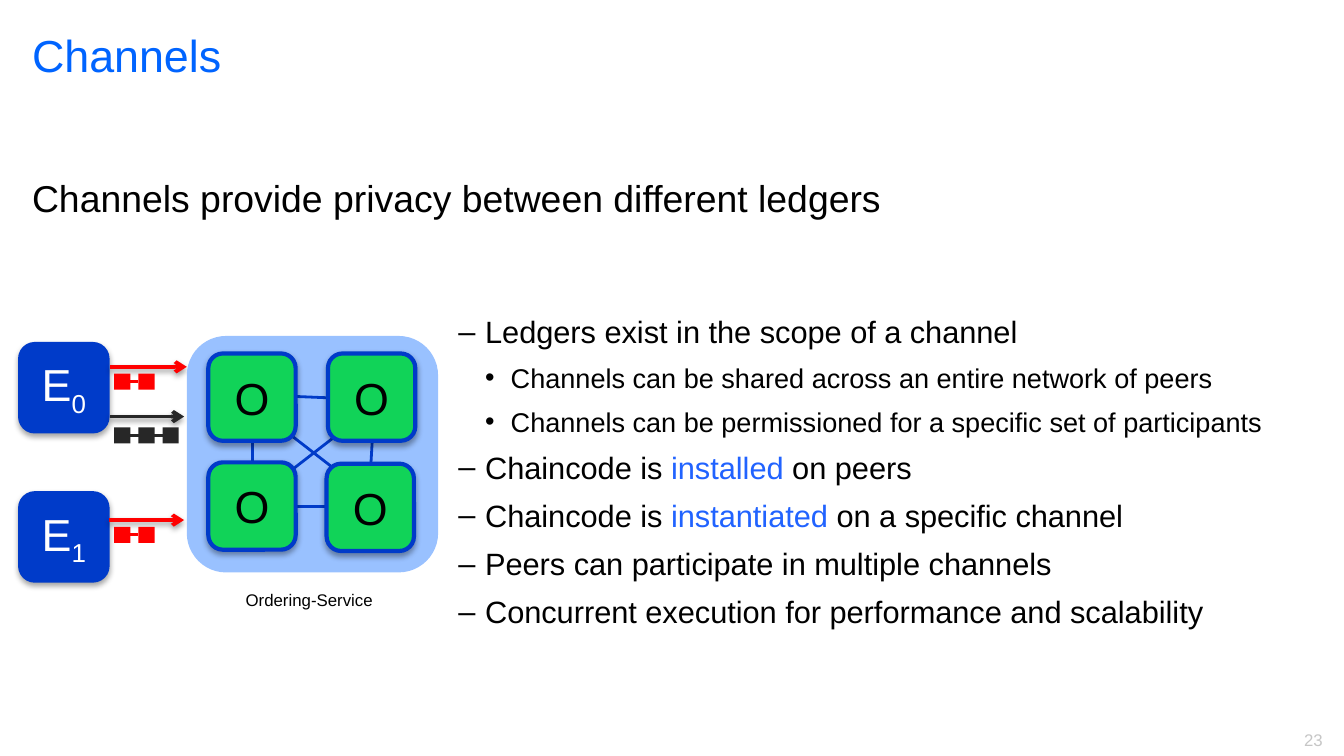
from dataclasses import dataclass

from pptx import Presentation
from pptx.dml.color import RGBColor
from pptx.enum.shapes import MSO_CONNECTOR, MSO_SHAPE
from pptx.enum.text import MSO_ANCHOR, PP_ALIGN
from pptx.oxml.ns import qn
from pptx.util import Emu, Pt
from lxml.etree import SubElement

PX = 9144
FONT = "Arial"
TITLE_BLUE = RGBColor(0x00, 0x64, 0xFF)
TERM_BLUE = RGBColor(0x21, 0x63, 0xFF)
NODE_BLUE = RGBColor(0x00, 0x3B, 0xC9)
PANEL_BLUE = RGBColor(0x99, 0xC1, 0xFF)
GREEN = RGBColor(0x11, 0xD3, 0x58)
RED = RGBColor(0xFF, 0x00, 0x00)
DARK = RGBColor(0x27, 0x27, 0x27)
GREY = RGBColor(0xC6, 0xC6, 0xC6)
BLACK = RGBColor(0x00, 0x00, 0x00)
WHITE = RGBColor(0xFF, 0xFF, 0xFF)
NODE_SIZE = 65
BLOCK_SIZE = 12
BLOCK_STEP = 18


@dataclass
class Label:
    text: str
    left: int
    top: int
    width: int
    height: int
    size: float
    color: RGBColor
    inset_top: int = 5
    align: PP_ALIGN = PP_ALIGN.LEFT


@dataclass
class Bullet:
    spans: list[str]
    level: int = 1


@dataclass
class BulletStyle:
    mark: str
    margin: int
    hanging: int
    size: float


@dataclass
class Node:
    text: str
    left: int
    top: int
    fill: RGBColor
    color: RGBColor
    subscript: str = ""


@dataclass
class Link:
    start: tuple[int, int]
    end: tuple[int, int]


@dataclass
class Chain:
    top: int
    blocks: int
    color: RGBColor
    arrow: Link


LABELS = [
    Label("23", 936, 538, 58, 25, 9, GREY, align=PP_ALIGN.RIGHT),
    Label("Channels", 14, 16, 850, 111, 24, TITLE_BLUE),
    Label("Channels provide privacy between different ledgers",
          14, 111, 973, 102, 20, BLACK, 19),
    Label("Ordering-Service", 173, 434, 117, 25, 9, BLACK),
]
BULLETS = [
    Bullet(["Ledgers exist in the scope of a channel"]),
    Bullet(["Channels can be shared across an entire network of peers"], 2),
    Bullet(["Channels can be permissioned for a specific set of participants"], 2),
    Bullet(["Chaincode is ", "installed", " on peers"]),
    Bullet(["Chaincode is ", "instantiated", " on a specific channel"]),
    Bullet(["Peers can participate in multiple channels"]),
    Bullet(["Concurrent execution for performance and scalability"]),
]
BULLET_STYLES = {1: BulletStyle("–", 46, 20, 16.5), 2: BulletStyle("•", 65, 19, 14.5)}
ENDORSERS = [Node("E", 15, top, NODE_BLUE, WHITE, number)
             for top, number in ((256, "0"), (367, "1"))]
ORDERERS = [Node("O", left, top, GREEN, BLACK)
            for left, top in ((155, 344), (155, 263), (244, 263), (243, 345))]
ORDERER_LINKS = [
    Link((220, 295), (244, 296)),
    Link((220, 377), (243, 377)),
    Link((188, 328), (188, 344)),
    Link((277, 328), (276, 345)),
    Link((218, 325), (249, 349)),
    Link((218, 349), (249, 325)),
]
CHAINS = [
    Chain(278, 2, RED, Link((82, 273), (139, 273))),
    Chain(318, 3, DARK, Link((82, 310), (137, 310))),
    Chain(392, 2, RED, Link((81, 387), (137, 387))),
]


def px(*lengths: int) -> list[Emu]:
    return [Emu(length * PX) for length in lengths]


def style_run(run, size: float, color: RGBColor) -> None:
    run.font.name = FONT
    run.font.size = Pt(size)
    run.font.color.rgb = color


def add_shadow(shape, opacity: int, distance: float) -> None:
    effects = shape._element.spPr.find(qn("a:effectLst"))
    shadow = SubElement(effects, qn("a:outerShdw"), blurRad=str(Pt(3.1)),
                        dist=str(Pt(distance)), dir="5400000", rotWithShape="0")
    color = SubElement(shadow, qn("a:srgbClr"), val=str(BLACK))
    SubElement(color, qn("a:alpha"), val=str(opacity * 1000))


def add_label(page, label: Label) -> None:
    box = page.shapes.add_textbox(*px(label.left, label.top, label.width, label.height))
    frame = box.text_frame
    frame.word_wrap = True
    frame.margin_top = Emu(label.inset_top * PX)
    frame.text = label.text
    frame.paragraphs[0].alignment = label.align
    style_run(frame.paragraphs[0].runs[0], label.size, label.color)


def add_bullets(page, bullets: list[Bullet]) -> None:
    frame = page.shapes.add_textbox(*px(308, 229, 675, 338)).text_frame
    frame.word_wrap = True
    frame.margin_left, frame.margin_right = px(7, 7)
    frame.margin_top, frame.margin_bottom = px(4, 4)
    for index, bullet in enumerate(bullets):
        paragraph = frame.add_paragraph() if index else frame.paragraphs[0]
        style = BULLET_STYLES[bullet.level]
        paragraph.level = bullet.level
        paragraph.space_before = Pt(6)
        properties = paragraph._p.get_or_add_pPr()
        properties.set("marL", str(style.margin * PX))
        properties.set("indent", str(-style.hanging * PX))
        SubElement(properties, qn("a:buFont"), typeface=FONT)
        SubElement(properties, qn("a:buChar"), char=style.mark)
        for position, text in enumerate(bullet.spans):
            span = paragraph.add_run()
            span.text = text
            style_run(span, style.size, TERM_BLUE if position == 1 else BLACK)


def add_block(shapes, kind: MSO_SHAPE, bounds: tuple[int, ...], fill: RGBColor):
    block = shapes.add_shape(kind, *px(*bounds))
    block.shadow.inherit = False
    block.fill.solid()
    block.fill.fore_color.rgb = fill
    block.line.fill.background()
    return block


def add_node(shapes, node: Node) -> None:
    box = add_block(shapes, MSO_SHAPE.ROUNDED_RECTANGLE,
                    (node.left, node.top, NODE_SIZE, NODE_SIZE), node.fill)
    box.line.color.rgb = NODE_BLUE
    box.line.width = Pt(2.25)
    add_shadow(box, 35, 1.8)
    frame = box.text_frame
    frame.text = node.text
    frame.vertical_anchor = MSO_ANCHOR.MIDDLE
    paragraph = frame.paragraphs[0]
    paragraph.alignment = PP_ALIGN.CENTER
    if node.subscript:
        span = paragraph.add_run()
        span.text = node.subscript
        span._r.get_or_add_rPr().set("baseline", "-25000")
    for span in paragraph.runs:
        style_run(span, 24, node.color)


def add_link(shapes, link: Link, color: RGBColor, width: float = 1.5,
             kind: MSO_CONNECTOR = MSO_CONNECTOR.STRAIGHT):
    line = shapes.add_connector(kind, *px(*link.start, *link.end))
    line.line.color.rgb = color
    line.line.width = Pt(width)
    SubElement(line._element.spPr, qn("a:effectLst"))
    return line


def add_chain(page, chain: Chain) -> None:
    arrow = add_link(page.shapes, chain.arrow, chain.color, 2, MSO_CONNECTOR.CURVE)
    SubElement(arrow._element.spPr.find(qn("a:ln")), qn("a:tailEnd"), type="arrow")
    add_shadow(arrow, 38, 1.6)
    shapes = page.shapes.add_group_shape().shapes
    lefts = [85 + index * BLOCK_STEP for index in range(chain.blocks)]
    for left in lefts:
        add_block(shapes, MSO_SHAPE.RECTANGLE,
                  (left, chain.top, BLOCK_SIZE, BLOCK_SIZE), chain.color)
    middle = chain.top + BLOCK_SIZE // 2
    add_link(shapes, Link((lefts[0] + BLOCK_SIZE, middle), (lefts[-1], middle)), chain.color)


def add_ordering_service(page) -> None:
    shapes = page.shapes.add_group_shape().shapes
    add_block(shapes, MSO_SHAPE.ROUNDED_RECTANGLE, (139, 250, 187, 176), PANEL_BLUE)
    for link in ORDERER_LINKS:
        add_link(shapes, link, NODE_BLUE)
    for node in ORDERERS:
        add_node(shapes, node)


def main() -> None:
    deck = Presentation()
    deck.slide_width = Emu(1000 * PX)
    deck.slide_height = Emu(deck.slide_width * 9 // 16)
    page = deck.slides.add_slide(deck.slide_layouts[6])
    for label in LABELS:
        add_label(page, label)
    add_bullets(page, BULLETS)
    for node in ENDORSERS:
        add_node(page.shapes, node)
    for chain in CHAINS:
        add_chain(page, chain)
    add_ordering_service(page)
    deck.save("out.pptx")


if __name__ == "__main__":
    main()
